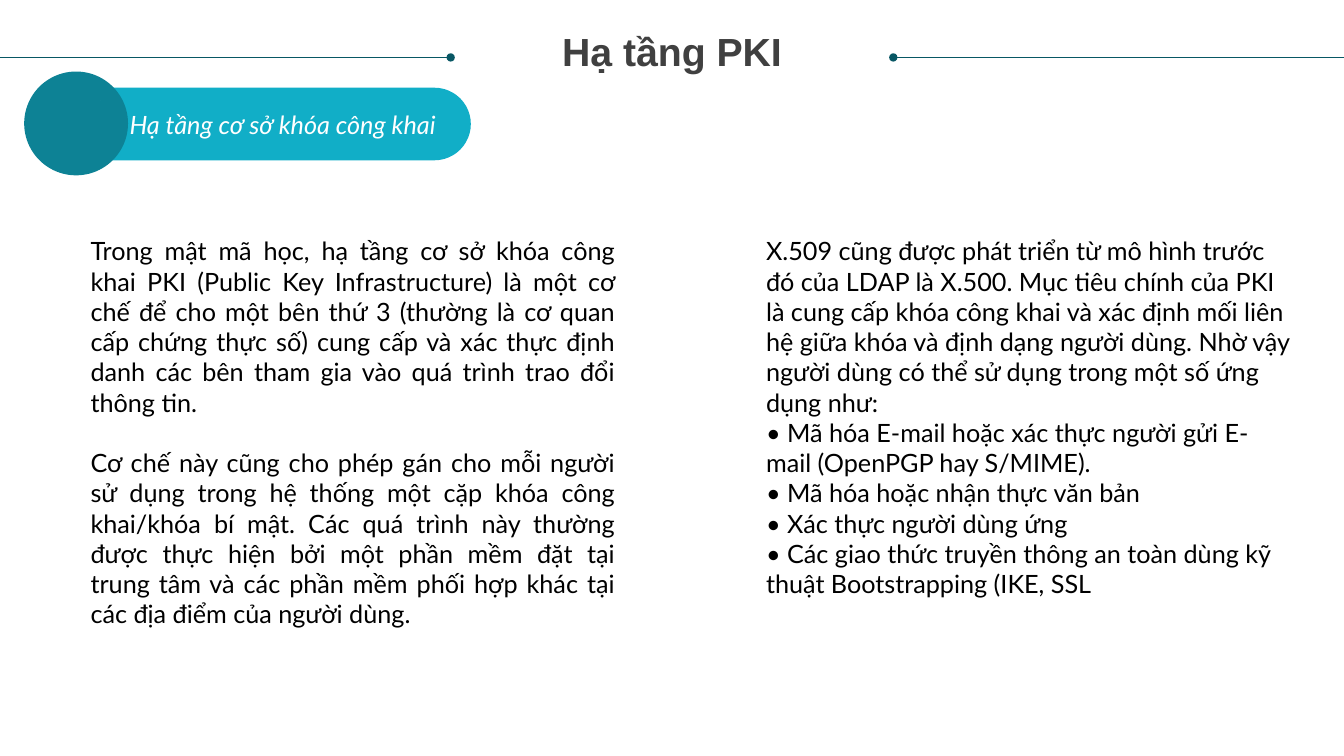
import math
from dataclasses import dataclass

import pptx
import pptx.util
import pptx.dml.color
import pptx.enum.shapes
import pptx.enum.text
import pptx.oxml
import pptx.oxml.ns
from pptx.util import Inches

SHAPES = pptx.enum.shapes.MSO_SHAPE
ALIGN = pptx.enum.text.PP_ALIGN
ANCHOR = pptx.enum.text.MSO_ANCHOR


@dataclass(frozen=True)
class Theme:
    rule: str = "085764"
    title: str = "404040"
    pill: str = "11AEC7"
    disc: str = "0D8295"
    white: str = "FFFFFF"
    body: str = "000000"
    title_font: str = "Arial"
    body_font: str = "Lato"
    title_size: int = 28
    body_size: int = 18
    rule_width: float = 0.5


THEME = Theme()

DEFINITION = [
    "Trong mật mã học, hạ tầng cơ sở khóa công khai PKI (Public Key Infrastructure) là một cơ chế "
    "để cho một bên thứ 3 (thường là cơ quan cấp chứng thực số) cung cấp và xác thực định danh các "
    "bên tham gia vào quá trình trao đổi thông tin.",
    "Cơ chế này cũng cho phép gán cho mỗi người sử dụng trong hệ thống một cặp khóa công khai/khóa "
    "bí mật. Các quá trình này thường được thực hiện bởi một phần mềm đặt tại trung tâm và các phần "
    "mềm phối hợp khác tại các địa điểm của người dùng.",
]
APPLICATIONS = [
    "X.509 cũng được phát triển từ mô hình trước đó của LDAP là X.500. Mục tiêu chính của PKI là "
    "cung cấp khóa công khai và xác định mối liên hệ giữa khóa và định dạng người dùng. Nhờ vậy "
    "người dùng có thể sử dụng trong một số ứng dụng như:",
    "• Mã hóa E-mail hoặc xác thực người gửi E-mail (OpenPGP hay S/MIME).",
    "• Mã hóa hoặc nhận thực văn bản",
    "• Xác thực người dùng ứng",
    "• Các giao thức truyền thông an toàn dùng kỹ thuật Bootstrapping (IKE, SSL",
]


def rgb(code):
    return pptx.dml.color.RGBColor.from_string(code)


def style(para, font, size, color, bold=False, italic=False):
    para.font.name = font
    para.font.size = pptx.util.Pt(size)
    para.font.color.rgb = rgb(color)
    para.font.bold = bold
    para.font.italic = italic


def paint(shape, color):
    shape.shadow.inherit = False
    shape.fill.solid()
    shape.fill.fore_color.rgb = rgb(color)
    shape.line.fill.background()


def add_shape(page, kind, left, top, width, height, color):
    shape = page.shapes.add_shape(kind, Inches(left), Inches(top), Inches(width), Inches(height))
    paint(shape, color)
    return shape


def add_text_box(page, left, top, width, height):
    box = page.shapes.add_textbox(Inches(left), Inches(top), Inches(width), Inches(height))
    box.text_frame.word_wrap = True
    return box.text_frame


def add_title(page, text):
    frame = add_text_box(page, 0.25, 0.32, 12.83, 0.85)
    frame.margin_left = frame.margin_right = frame.margin_top = frame.margin_bottom = 0
    para = frame.paragraphs[0]
    para.text = text
    para.alignment = ALIGN.CENTER
    para.line_spacing = 0.9
    style(para, THEME.title_font, THEME.title_size, THEME.title, bold=True)


def add_title_rule(page, edge, dot):
    """Rule from the slide edge to a round dot beside the title."""
    y = Inches(0.57)
    rule = page.shapes.add_connector(
        pptx.enum.shapes.MSO_CONNECTOR.STRAIGHT, Inches(edge), y, Inches(dot), y)
    rule.line.color.rgb = rgb(THEME.rule)
    rule.line.width = pptx.util.Pt(THEME.rule_width)
    tail = pptx.oxml.parse_xml(
        f'<a:tailEnd {pptx.oxml.ns.nsdecls("a")} type="oval"/>')
    rule.line._get_or_add_ln().append(tail)
    rule._element.spPr.append(
        pptx.oxml.parse_xml(f'<a:effectLst {pptx.oxml.ns.nsdecls("a")}/>'))


def add_heading_pill(page, text):
    pill = add_shape(page, SHAPES.ROUNDED_RECTANGLE, 0.67, 0.87, 4, 0.72, THEME.pill)
    pill.adjustments[0] = 0.5
    frame = pill.text_frame
    frame.margin_left = Inches(0.51)
    frame.margin_right = 0
    frame.vertical_anchor = ANCHOR.MIDDLE
    para = frame.paragraphs[0]
    para.text = text
    para.alignment = ALIGN.LEFT
    style(para, THEME.body_font, THEME.body_size, THEME.white, italic=True)


def arc(x, y, radius, start, end, steps=16):
    angles = [math.radians(start + (end - start) * i / steps) for i in range(steps + 1)]
    return [(x + radius * math.cos(a), y + radius * math.sin(a)) for a in angles]


def add_network_icon(page):
    middle = (0.82, 1.19, 0.04)
    outline = [
        # Right square and upper edge of its curve
        (1.05, 1.13), (0.98, 1.13), (0.98, 1.15), (0.92, 1.15), (0.88, 1.16), (0.84, 1.18),
        # Chain of three round nodes
        *arc(0.93, 1.08, 0.04, 110, -220),
        *arc(*middle, -70, -210),
        *arc(0.71, 1.31, 0.04, -65, -400),
        # Curve down to the bottom square and back
        (0.8, 1.22), (0.81, 1.22), (0.79, 1.26), (0.78, 1.31), (0.78, 1.36),
        (0.76, 1.36), (0.76, 1.42), (0.82, 1.42), (0.82, 1.36), (0.79, 1.36),
        (0.8, 1.28), (0.82, 1.23),
        *arc(*middle, 80, 10),
        # Lower edge of the right curve
        (0.89, 1.17), (0.93, 1.17), (0.98, 1.17), (0.98, 1.19), (1.05, 1.19),
    ]
    builder = page.shapes.build_freeform(*outline[0], scale=Inches(1))
    builder.add_line_segments(outline[1:], close=True)
    paint(builder.convert_to_shape(), THEME.white)


def add_column(page, left, texts, alignment, gap=0):
    frame = add_text_box(page, left, 2.29, 5.4, 4.34)
    for index, text in enumerate(texts):
        para = frame.add_paragraph() if index else frame.paragraphs[0]
        para.text = text
        para.alignment = alignment
        para.space_before = pptx.util.Pt(gap if index else 0)
        style(para, THEME.body_font, THEME.body_size, THEME.body)


def main():
    deck = pptx.Presentation()
    deck.slide_width, deck.slide_height = Inches(13.33), Inches(7.5)
    page = deck.slides.add_slide(deck.slide_layouts[6])

    # Title between two rules
    add_title_rule(page, 13.33, 8.86)
    add_title(page, "Hạ tầng PKI")
    add_title_rule(page, 0, 4.47)

    # Section heading with icon
    add_heading_pill(page, "Hạ tầng cơ sở khóa công khai")
    add_shape(page, SHAPES.OVAL, 0.24, 0.71, 1.03, 1.03, THEME.disc)
    add_network_icon(page)

    # Body columns
    add_column(page, 0.8, DEFINITION, ALIGN.JUSTIFY, gap=21.6)
    add_column(page, 7.5, APPLICATIONS, ALIGN.LEFT)

    deck.save("out.pptx")


if __name__ == "__main__":
    main()
